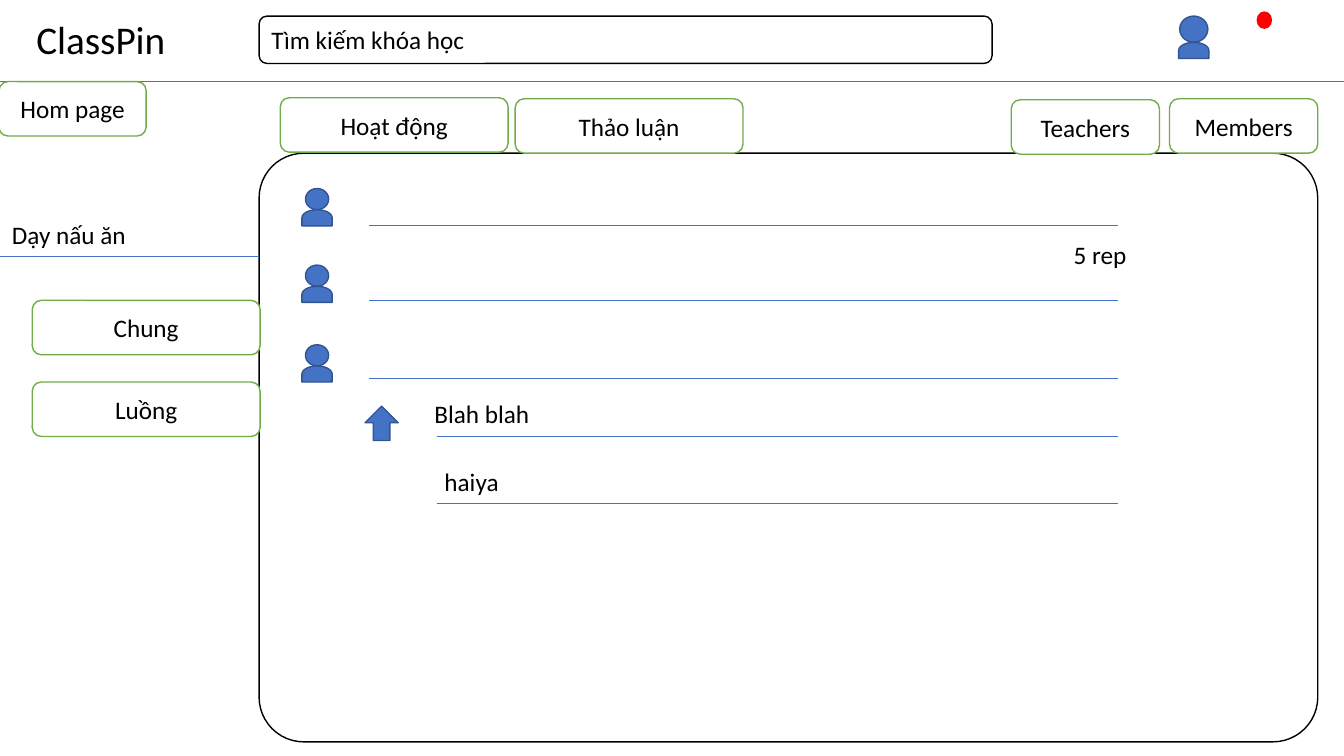
from collections import namedtuple
from dataclasses import dataclass

from lxml.etree import SubElement
from pptx import Presentation
from pptx.dml.color import RGBColor
from pptx.enum.shapes import MSO_CONNECTOR, MSO_SHAPE
from pptx.enum.text import MSO_ANCHOR, MSO_AUTO_SIZE, PP_ALIGN
from pptx.oxml.ns import qn
from pptx.util import Inches, Pt

Box = namedtuple("Box", "x y w h")


@dataclass(frozen=True)
class Theme:
    font: str = "Calibri"
    brand_size: int = 28
    body_size: int = 18
    ink: str = "000000"
    paper: str = "FFFFFF"
    accent: str = "4472C4"
    accent_edge: str = "325491"
    button_edge: str = "70AD47"
    alert: str = "FF0000"


THEME = Theme()


def apply(target, formats):
    for name, value in formats.items():
        setattr(target, name, value)


def write(frame, words, size=THEME.body_size, align=PP_ALIGN.LEFT,
          anchor=MSO_ANCHOR.TOP, wrap=True):
    apply(frame, {"text": words, "word_wrap": wrap, "vertical_anchor": anchor,
                  "auto_size": MSO_AUTO_SIZE.NONE})
    paragraph = frame.paragraphs[0]
    paragraph.alignment = align
    apply(paragraph.runs[0].font, {"name": THEME.font, "size": Pt(size)})
    paragraph.runs[0].font.color.rgb = RGBColor.from_string(THEME.ink)


def figure(slide, preset, box, fill, edge):
    part = slide.shapes.add_shape(preset, *map(Inches, box))
    part.shadow.inherit = False
    part.fill.solid()
    part.fill.fore_color.rgb = RGBColor.from_string(fill)
    part.line.color.rgb = RGBColor.from_string(edge)
    part.line.width = Pt(1)
    return part


def rounded(slide, box, edge, words=None, align=PP_ALIGN.CENTER):
    part = figure(slide, MSO_SHAPE.ROUNDED_RECTANGLE, box, THEME.paper, edge)
    if words:
        write(part.text_frame, words, align=align, anchor=MSO_ANCHOR.MIDDLE)
    return part


def button(slide, words, x, y, w, h=0.54):
    rounded(slide, Box(x, y, w, h), THEME.button_edge, words)


def label(slide, words, box):
    area = slide.shapes.add_textbox(*map(Inches, box))
    write(area.text_frame, words)


def rule(slide, left, right, y):
    line = slide.shapes.add_connector(
        MSO_CONNECTOR.STRAIGHT, *map(Inches, (left, y, right, y)))
    line.line.color.rgb = RGBColor.from_string(THEME.accent)
    line.line.width = Pt(0.5)
    SubElement(line._element.spPr, qn("a:effectLst"))


def person(slide, head):
    body_w, body_h = 0.16, 0.3
    center_x = head.x + head.w / 2
    center_y = head.y + head.h + body_w / 2
    figure(slide, MSO_SHAPE.OVAL, head, THEME.accent, THEME.accent_edge)
    body = figure(slide, MSO_SHAPE.FLOWCHART_DELAY,
                  Box(center_x - body_w / 2, center_y - body_h / 2, body_w, body_h),
                  THEME.accent, THEME.accent_edge)
    body.rotation = 270


def header(slide, box):
    rule(slide, box.x, box.x + box.w, box.y + box.h)
    # App name
    app_name = slide.shapes.title
    place = Box(box.x + 0.26, box.y + 0.1, 1.53, 0.57)
    apply(app_name, dict(zip(("left", "top", "width", "height"), map(Inches, place))))
    write(app_name.text_frame, "ClassPin", THEME.brand_size, wrap=False)
    # Search field
    rounded(slide, Box(box.x + 2.57, box.y + 0.16, 7.27, 0.47), THEME.ink,
            "Tìm kiếm khóa học", PP_ALIGN.LEFT)
    # Account and notification dot
    person(slide, Box(box.x + 11.7, box.y + 0.16, 0.28, 0.26))
    figure(slide, MSO_SHAPE.OVAL, Box(box.x + 12.47, box.y + 0.12, 0.14, 0.16),
           THEME.alert, THEME.alert)


def tabs(slide, box):
    for words, x, y, w in (("Hoạt động", 0.21, 0, 2.26),
                           ("Thảo luận", 2.54, 0.01, 2.26),
                           ("Members", 9.03, 0.01, 1.47),
                           ("Teachers", 7.46, 0.02, 1.47)):
        button(slide, words, box.x + x, box.y + y, w, box.h)


def discussion(slide, box):
    panel = rounded(slide, box, THEME.ink)
    panel.adjustments[0] = 0.076
    right = box.x + 8.52
    # Posts
    for head_y, line_y in ((0.35, 0.72), (1.11, 1.46), (1.9, 2.23)):
        person(slide, Box(box.x + 0.46, box.y + head_y, 0.23, 0.21))
        rule(slide, box.x + 1.09, right, box.y + line_y)
    label(slide, "5 rep", Box(box.x + 7.98, box.y + 0.81, 2.31, 0.4))
    # Replies
    figure(slide, MSO_SHAPE.UP_ARROW, Box(box.x + 1.05, box.y + 2.51, 0.33, 0.34),
           THEME.accent, THEME.accent_edge)
    for words, x, y, line_y in (("Blah blah", 1.64, 2.38, 2.81),
                                ("haiya", 1.74, 3.06, 3.47)):
        rule(slide, box.x + 1.76, right, box.y + line_y)
        label(slide, words, Box(box.x + x, box.y + y, 2.31, 0.4))


def sidebar(slide, box):
    button(slide, "Hom page", box.x - 0.01, box.y, 1.46)
    # Course name
    label(slide, "Dạy nấu ăn", Box(box.x + 0.02, box.y + 1.32, 1.35, 0.4))
    rule(slide, box.x, box.x + box.w, box.y + 1.73)
    # Channels
    for row, words in enumerate(("Chung", "Luồng")):
        button(slide, words, box.x + 0.32, box.y + 2.17 + row * 0.81, 2.26)


deck = Presentation()
apply(deck, {"slide_width": Inches(13.33), "slide_height": Inches(7.5)})
course_page = deck.slides.add_slide(deck.slide_layouts[5])

header(course_page, Box(0, 0, 13.33, 0.81))
discussion(course_page, Box(2.57, 1.52, 10.5, 5.84))
tabs(course_page, Box(2.57, 0.97, 10.5, 0.54))
sidebar(course_page, Box(0, 0.81, 2.57, 6.69))

deck.save("out.pptx")
